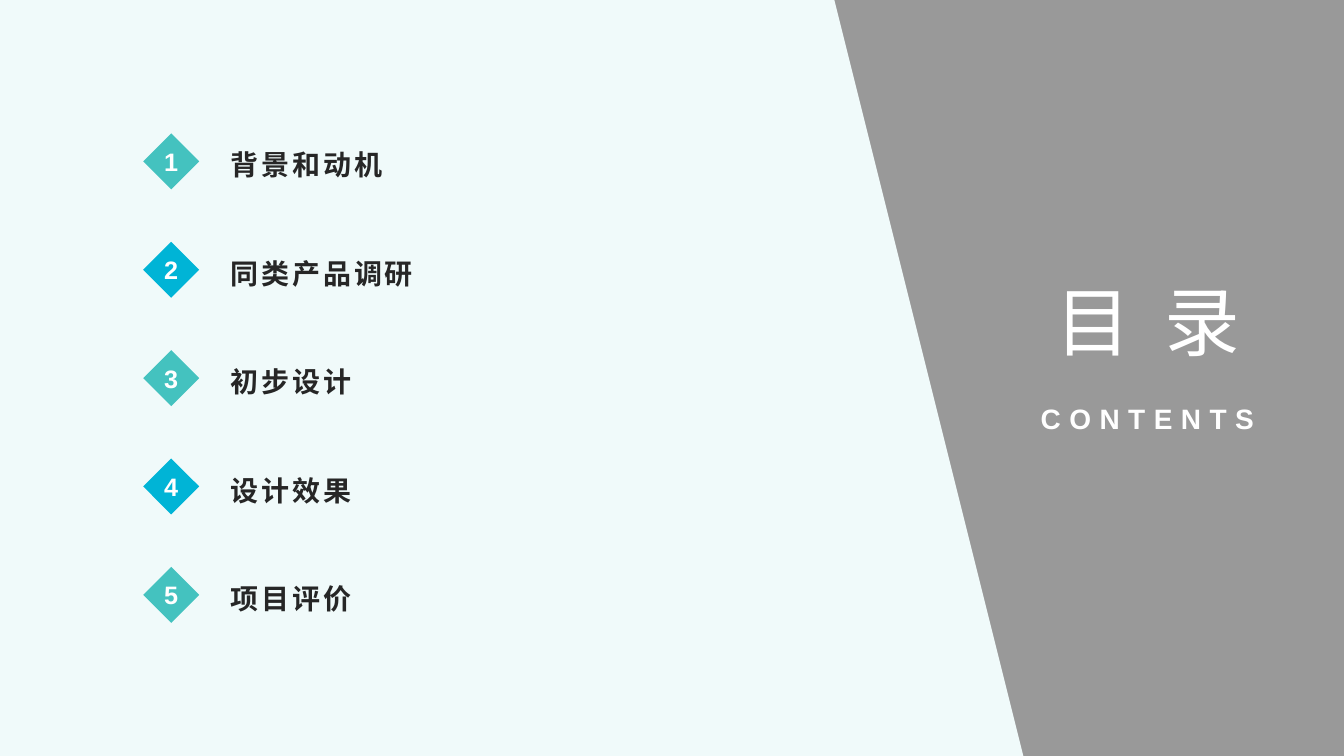
from dataclasses import dataclass

from lxml import etree
from pptx import Presentation
from pptx.dml.color import RGBColor
from pptx.enum.lang import MSO_LANGUAGE_ID
from pptx.enum.shapes import MSO_SHAPE
from pptx.enum.text import MSO_ANCHOR, PP_ALIGN
from pptx.oxml.ns import qn
from pptx.util import Pt

RECT, DIAMOND = MSO_SHAPE.RECTANGLE, MSO_SHAPE.DIAMOND
LEFT, CENTER = PP_ALIGN.LEFT, PP_ALIGN.CENTER
TOP, MIDDLE, BOTTOM = MSO_ANCHOR.TOP, MSO_ANCHOR.MIDDLE, MSO_ANCHOR.BOTTOM
CHINESE = MSO_LANGUAGE_ID.SIMPLIFIED_CHINESE


@dataclass(frozen=True)
class Theme:
    font: str = "Arial"
    pale: str = "F0FAFA"
    shade: str = "000000"
    teal: str = "44C2BF"
    blue: str = "00B4D6"
    ink: str = "262626"
    white: str = "FFFFFF"
    title: int = 54
    body: int = 20
    number: int = 18


THEME = Theme()
WIDTH, HEIGHT = 960, 540
TOPICS = ["背景和动机", "同类产品调研", "初步设计", "设计效果", "项目评价"]
FIRST_TOP, PITCH, DIAMOND_SIZE = 95.3, 77.4, 40


def write(tf, text, *, size, color, bold=True, spacing=0, align=LEFT,
          anchor=TOP, line=1.0, wrap=True, insets=(7.2, 3.6, 7.2, 3.6)):
    """Put one formatted line of text in a frame."""
    tf.word_wrap = wrap
    tf.vertical_anchor = anchor
    tf.margin_left, tf.margin_top, tf.margin_right, tf.margin_bottom = map(Pt, insets)
    p = tf.paragraphs[0]
    p.alignment = align
    p.line_spacing = line
    r = p.add_run()
    r.text = text
    r.font.name = THEME.font
    r.font.size = Pt(size)
    r.font.bold = bold
    r.font.color.rgb = RGBColor.from_string(color)
    r.font.language_id = CHINESE
    if spacing:
        r.font._element.set("spc", str(spacing * 100))


def add_text(slide, text, left, top, width, height, **fmt):
    box = slide.shapes.add_textbox(Pt(left), Pt(top), Pt(width), Pt(height))
    write(box.text_frame, text, **fmt)


def paint(sp, color, opacity=None):
    """Give a shape a plain fill, with no line or shadow."""
    sp.shadow.inherit = False
    sp.line.fill.background()
    sp.fill.solid()
    sp.fill.fore_color.rgb = RGBColor.from_string(color)
    if opacity is not None:
        clr = sp._element.spPr.find(qn("a:solidFill"))[0]
        etree.SubElement(clr, qn("a:alpha")).set("val", str(opacity * 1000))


def add_shape(slide, kind, left, top, width, height, color, opacity=None):
    sp = slide.shapes.add_shape(kind, Pt(left), Pt(top), Pt(width), Pt(height))
    paint(sp, color, opacity)
    return sp


def add_panel(slide, points, color):
    start, *rest = [(Pt(x), Pt(y)) for x, y in points]
    builder = slide.shapes.build_freeform(*start)
    builder.add_line_segments(rest, close=True)
    paint(builder.convert_to_shape(), color)


def add_topic(slide, index, topic):
    top = FIRST_TOP + index * PITCH
    color = (THEME.teal, THEME.blue)[index % 2]
    sp = add_shape(slide, DIAMOND, 102.3, top, DIAMOND_SIZE, DIAMOND_SIZE, color)
    write(sp.text_frame, str(index + 1), size=THEME.number, color=THEME.white,
          align=CENTER, anchor=MIDDLE, wrap=False, insets=(0, 0, 0, 0))
    add_text(slide, topic, 157.7, top + 3.4, 380, 31, size=THEME.body,
             color=THEME.ink, spacing=2, anchor=BOTTOM, insets=(7.2, 3.6, 7.2, 0))


def main():
    prs = Presentation()
    prs.slide_width, prs.slide_height = Pt(WIDTH), Pt(HEIGHT)
    slide = prs.slides.add_slide(prs.slide_layouts[6])

    # Background: grey shade with a slanted pale panel
    add_shape(slide, RECT, 0, 0, WIDTH, HEIGHT, THEME.shade, opacity=40)
    add_panel(slide, [(0, 0), (596, 0), (731, HEIGHT), (0, HEIGHT)], THEME.pale)

    # Numbered topics
    for index, topic in enumerate(TOPICS):
        add_topic(slide, index, topic)

    # Heading
    heading = dict(color=THEME.white, spacing=6, align=CENTER, line=1.1)
    add_text(slide, "目 录", 732, 186.5, 176, 80, size=THEME.title, bold=False, **heading)
    add_text(slide, "CONTENTS", 731.5, 280.8, 176, 33, size=THEME.body, **heading)

    prs.save("out.pptx")


if __name__ == "__main__":
    main()
